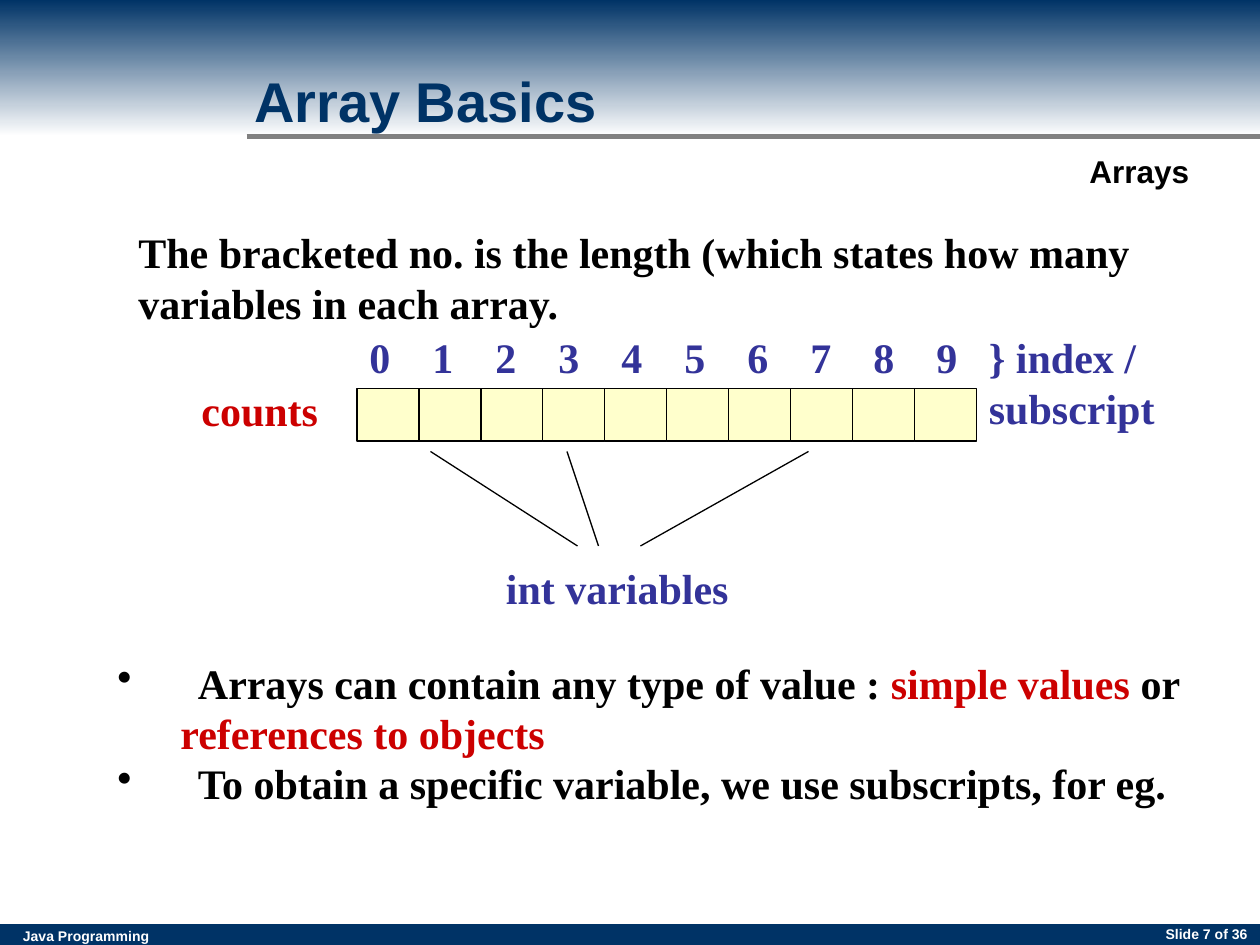
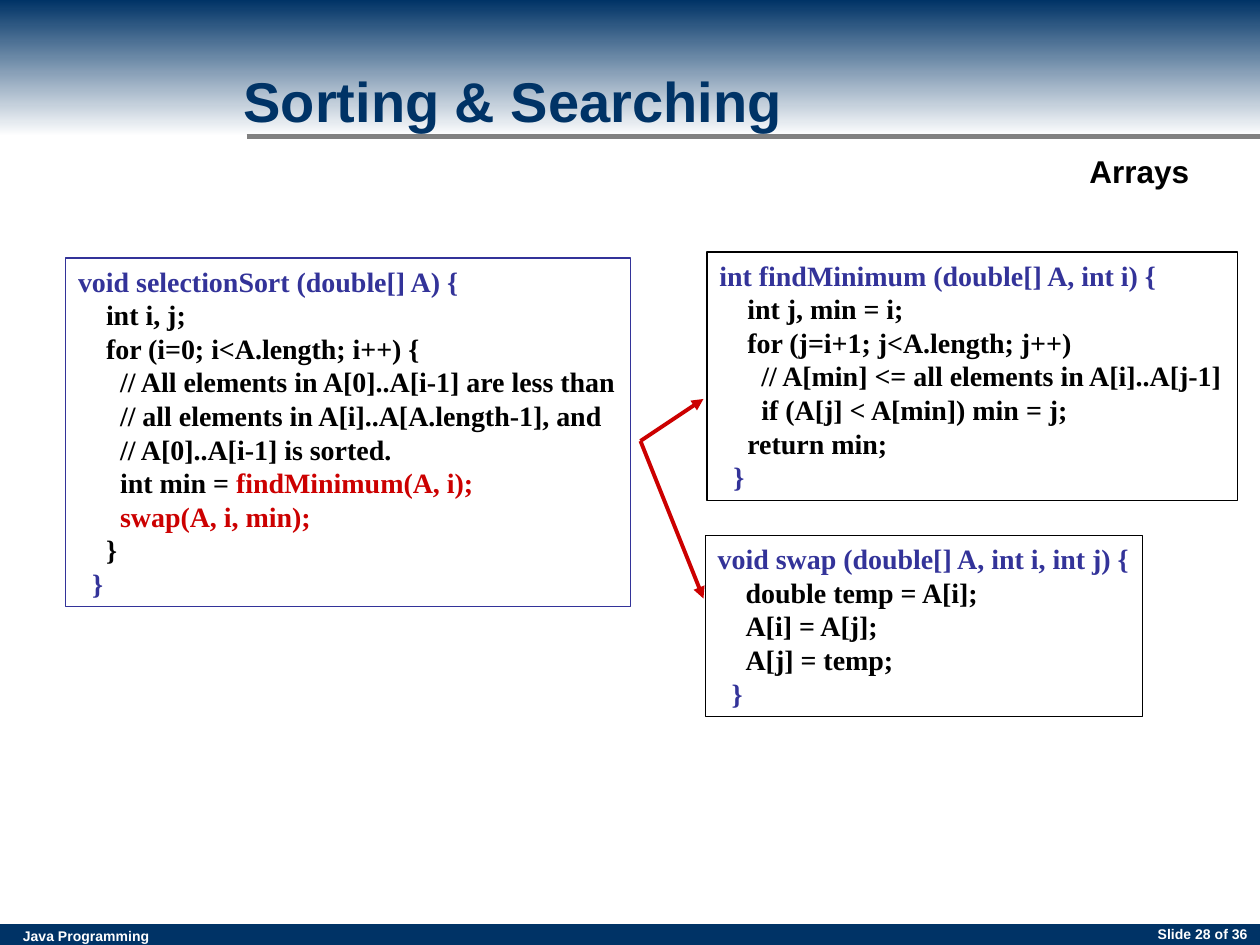
import dataclasses

import pptx
import pptx.dml.color
import pptx.enum.shapes
import pptx.enum.text
import pptx.oxml.ns
import pptx.util
from lxml import etree

Pt = pptx.util.Pt
ALIGN = pptx.enum.text.PP_ALIGN
RECTANGLE = pptx.enum.shapes.MSO_SHAPE.RECTANGLE
STRAIGHT = pptx.enum.shapes.MSO_CONNECTOR.STRAIGHT


@dataclasses.dataclass(frozen=True)
class Theme:
    """Colours, fonts and type sizes of the deck."""
    navy: str = "003366"
    white: str = "FFFFFF"
    grey: str = "808080"
    black: str = "000000"
    indigo: str = "333399"
    red: str = "CC0000"
    cream: str = "FFFFCC"
    sans: str = "Arial"
    serif: str = "Times New Roman"
    title: int = 32
    body: int = 24
    chapter: int = 18
    code: int = 16
    footer: int = 8
    hairline: float = 0.75


THEME = Theme()
WIDTH, HEIGHT = 720, 540


def rgb(colour):
    """Return a colour object for a hex string."""
    return pptx.dml.color.RGBColor.from_string(colour)


def add_xml(parent, tag, **attributes):
    """Append a drawing element to a parent element."""
    return etree.SubElement(parent, pptx.oxml.ns.qn(tag), attributes)


def set_indent(paragraph, left, hanging=0):
    """Indent a paragraph, with an optional hanging first line."""
    properties = paragraph._p.get_or_add_pPr()
    properties.set("marL", str(Pt(left)))
    properties.set("indent", str(-Pt(hanging)))
    return properties


def style_runs(paragraph, size, font, colour):
    """Format every run of a paragraph in bold."""
    for run in paragraph.runs:
        run.font.size, run.font.name, run.font.bold = Pt(size), font, True
        run.font.color.rgb = rgb(colour)


def write_pieces(paragraph, pieces, size):
    """Write differently coloured serif pieces into a paragraph."""
    for text, colour in pieces:
        run = paragraph.add_run()
        run.text = text
        run.font.color.rgb = rgb(colour)
        run.font.size, run.font.name, run.font.bold = Pt(size), THEME.serif, True


def add_label(slide, box, text, size, colour, font=THEME.serif, align=ALIGN.LEFT):
    """Add a wrapped label of one style."""
    label = slide.shapes.add_textbox(*map(Pt, box))
    label.text_frame.word_wrap = True
    label.text_frame.text = text
    paragraph = label.text_frame.paragraphs[0]
    paragraph.alignment = align
    style_runs(paragraph, size, font, colour)
    return label


def add_bar(shapes, box, colour):
    """Add a plain filled rectangle without outline."""
    bar = shapes.add_shape(RECTANGLE, *map(Pt, box))
    bar.shadow.inherit = False
    bar.fill.solid()
    bar.fill.fore_color.rgb = rgb(colour)
    bar.line.fill.background()
    return bar


def add_line(slide, start, end, colour, width, arrow=False):
    """Add a straight line, with an arrowhead at its end if wanted."""
    line = slide.shapes.add_connector(STRAIGHT, *map(Pt, start + end))
    line.line.color.rgb = rgb(colour)
    line.line.width = Pt(width)
    if arrow:
        add_xml(line.line._get_or_add_ln(), "a:tailEnd", type="triangle")
    add_xml(line._element.spPr, "a:effectLst")
    return line


def decorate_layout(layout, slide):
    """Build the bands, rule and fixed labels and hand them to the layout."""
    for placeholder in list(layout.placeholders)[1:]:
        placeholder._element.getparent().remove(placeholder._element)
    footer_band = add_bar(slide.shapes, (0, 528, WIDTH, 12), THEME.navy)
    course = add_label(slide, (6, 526.5, 91, 17), "Java Programming",
                       THEME.footer, THEME.white, THEME.sans)
    header = add_bar(slide.shapes, (0, 0, WIDTH, 78), THEME.navy)
    header.fill.gradient()
    header.fill.gradient_angle = 270
    for stop, colour in zip(header.fill.gradient_stops, (THEME.navy, THEME.white)):
        stop.color.rgb = rgb(colour)
    for position, stop in enumerate(header.fill.gradient_stops):
        stop.position = position
    rule = add_line(slide, (141, 78), (WIDTH, 78), THEME.grey, 3)
    chapter = add_label(slide, (615.5, 83.5, 72, 29), "Arrays",
                        THEME.chapter, THEME.black, THEME.sans)
    for part in (footer_band, course, header, rule, chapter):
        layout.shapes._spTree.append(part._element)


def frame_slide(slide, title_box, title, number):
    """Place the title and the slide number."""
    heading = slide.shapes.title
    heading.left, heading.top, heading.width, heading.height = map(Pt, title_box)
    heading.text_frame.text = title
    heading.text_frame.vertical_anchor = pptx.enum.text.MSO_ANCHOR.MIDDLE
    paragraph = heading.text_frame.paragraphs[0]
    paragraph.alignment = ALIGN.LEFT
    style_runs(paragraph, THEME.title, THEME.sans, THEME.navy)
    add_label(slide, (552, 525.5, 168, 19.5), f"Slide {number} of 36",
              THEME.footer, THEME.white, THEME.sans, ALIGN.RIGHT)


def array_diagram(slide, box):
    """Draw the ten-cell array with its name, indices and callout."""
    left, top, width, height = box
    count = 10
    cell_width = width / count
    row_top, row_height = top + 36, 30
    cells = slide.shapes.add_group_shape()
    for index in range(count):
        cell = add_bar(cells.shapes, (left + index * cell_width, row_top,
                                      cell_width, row_height), THEME.cream)
        cell.line.color.rgb = rgb(THEME.black)
        cell.line.width = Pt(THEME.hairline)
    add_label(slide, (left - 96, top + 30, 96, 36), "counts", THEME.body, THEME.red)
    indices = add_label(slide, (left, top, width, 36),
                        "\t".join(map(str, range(count))), THEME.body, THEME.indigo)
    properties = indices.text_frame.paragraphs[0]._p.get_or_add_pPr()
    stops = add_xml(properties, "a:tabLst")
    for index in range(1, count):
        add_xml(stops, "a:tab", pos=str(Pt(36 * index)), algn="l")
    add_label(slide, (left + width, top, WIDTH - left - width, 65),
              "} index / subscript", THEME.body, THEME.indigo)
    for start, end in ((42, 126), (120, 138), (258, 162)):
        add_line(slide, (left + start, top + 72), (left + end, top + 126),
                 THEME.black, THEME.hairline)
    add_label(slide, (left + 78, top + height - 36, 168, 36), "int variables",
              THEME.body, THEME.indigo)


def bullet_list(slide, box, items):
    """Write bulleted statements and their indented continuations."""
    notes = slide.shapes.add_textbox(*map(Pt, box)).text_frame
    notes.word_wrap = True
    for number, (bulleted, pieces) in enumerate(items):
        paragraph = notes.add_paragraph() if number else notes.paragraphs[0]
        if bulleted:
            add_xml(set_indent(paragraph, 46, 46), "a:buChar", char="•")
        else:
            set_indent(paragraph, 36)
        write_pieces(paragraph, pieces, THEME.body)


def code_box(slide, box, edge, lines):
    """Frame a code listing whose lines are indented by a count of columns."""
    listing = slide.shapes.add_textbox(*map(Pt, box))
    listing.line.color.rgb = rgb(edge)
    listing.line.width = Pt(THEME.hairline)
    frame = listing.text_frame
    frame.word_wrap = False
    for number, (columns, *pieces) in enumerate(lines):
        paragraph = frame.add_paragraph() if number else frame.paragraphs[0]
        paragraph.alignment = ALIGN.LEFT
        set_indent(paragraph, columns * THEME.code / 4)
        write_pieces(paragraph, pieces, THEME.code)


def method_lines(signature, body):
    """Wrap body lines in a method's coloured signature and closing brace."""
    body = [(columns, (piece, THEME.black)) if isinstance(piece, str)
            else (columns, *piece) for columns, piece in body]
    return [(0, (signature, THEME.indigo)), *body, (2, ("}", THEME.indigo))]


def array_basics(slide):
    """Fill the slide on array length, indices and contents."""
    frame_slide(slide, (138, 12, 468, 90), "Array Basics", 7)
    add_label(slide, (72, 126, 648, 65),
              "The bracketed no. is the length (which states how many "
              "variables in each array.", THEME.body, THEME.black)
    array_diagram(slide, (204, 186, 354, 168))
    bullet_list(slide, (60, 372, 624, 94), [
        (True, [("Arrays can contain any type of value : ", THEME.black),
                ("simple values", THEME.red), (" or", THEME.black)]),
        (False, [("references to objects", THEME.red)]),
        (True, [("To obtain a specific variable, we use subscripts, for eg.",
                 THEME.black)]),
    ])


def sorting_searching(slide):
    """Fill the slide on selection sort and its two helpers."""
    frame_slide(slide, (132, 12, 588, 90), "Sorting & Searching", 28)
    code_box(slide, (37.5, 147.5, 323, 199), THEME.indigo, method_lines(
        "void selectionSort (double[] A) {", [
            (4, "int i, j;"),
            (4, "for (i=0; i<A.length; i++) {"),
            (6, "// All elements in A[0]..A[i-1] are less than"),
            (6, "// all elements in A[i]..A[A.length-1], and"),
            (6, "// A[0]..A[i-1] is sorted."),
            (6, [("int min =", THEME.black), (" findMinimum(A, i);", THEME.red)]),
            (6, [("swap(A, i, min);", THEME.red)]),
            (4, "}"),
        ]))
    code_box(slide, (404, 144, 303, 142), THEME.black, method_lines(
        "int findMinimum (double[] A, int i) {", [
            (4, "int j, min = i;"),
            (4, "for (j=i+1; j<A.length; j++)"),
            (6, "// A[min] <= all elements in A[i]..A[j-1]"),
            (6, "if (A[j] < A[min]) min = j;"),
            (4, "return min;"),
        ]))
    code_box(slide, (403, 306, 250, 103.5), THEME.black, method_lines(
        "void swap (double[] A, int i, int j) {", [
            (4, "double temp = A[i];"),
            (4, "A[i] = A[j];"),
            (4, "A[j] = temp;"),
        ]))
    for target in (228, 342):
        add_line(slide, (366, 252), (402, target), THEME.red, 2.25, arrow=True)


def main():
    """Build and save the deck."""
    deck = pptx.Presentation()
    deck.slide_width, deck.slide_height = Pt(WIDTH), Pt(HEIGHT)
    layout = deck.slide_layouts[5]
    basics, sorting = (deck.slides.add_slide(layout) for _ in range(2))
    decorate_layout(layout, basics)
    array_basics(basics)
    sorting_searching(sorting)
    deck.save("out.pptx")


if __name__ == "__main__":
    main()
